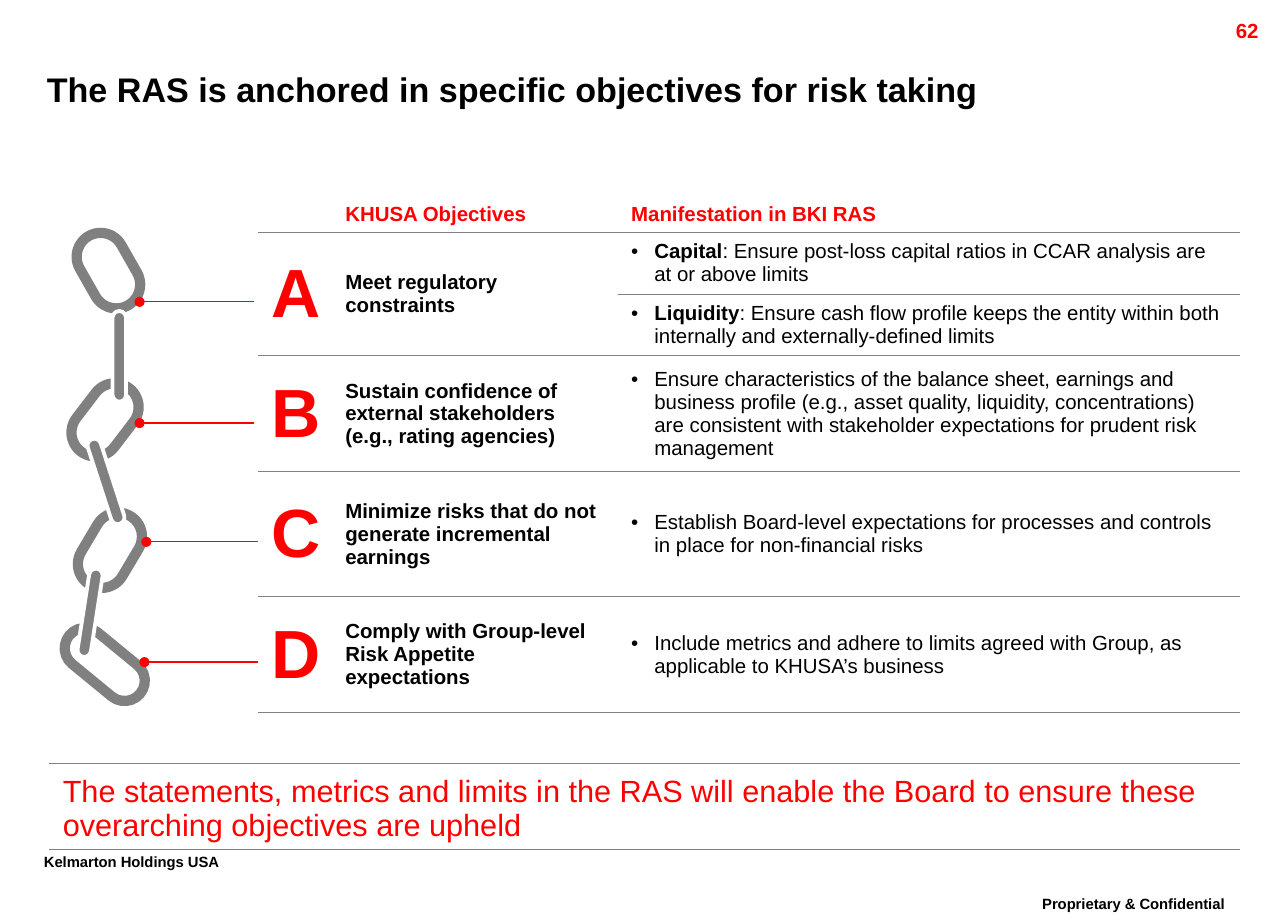
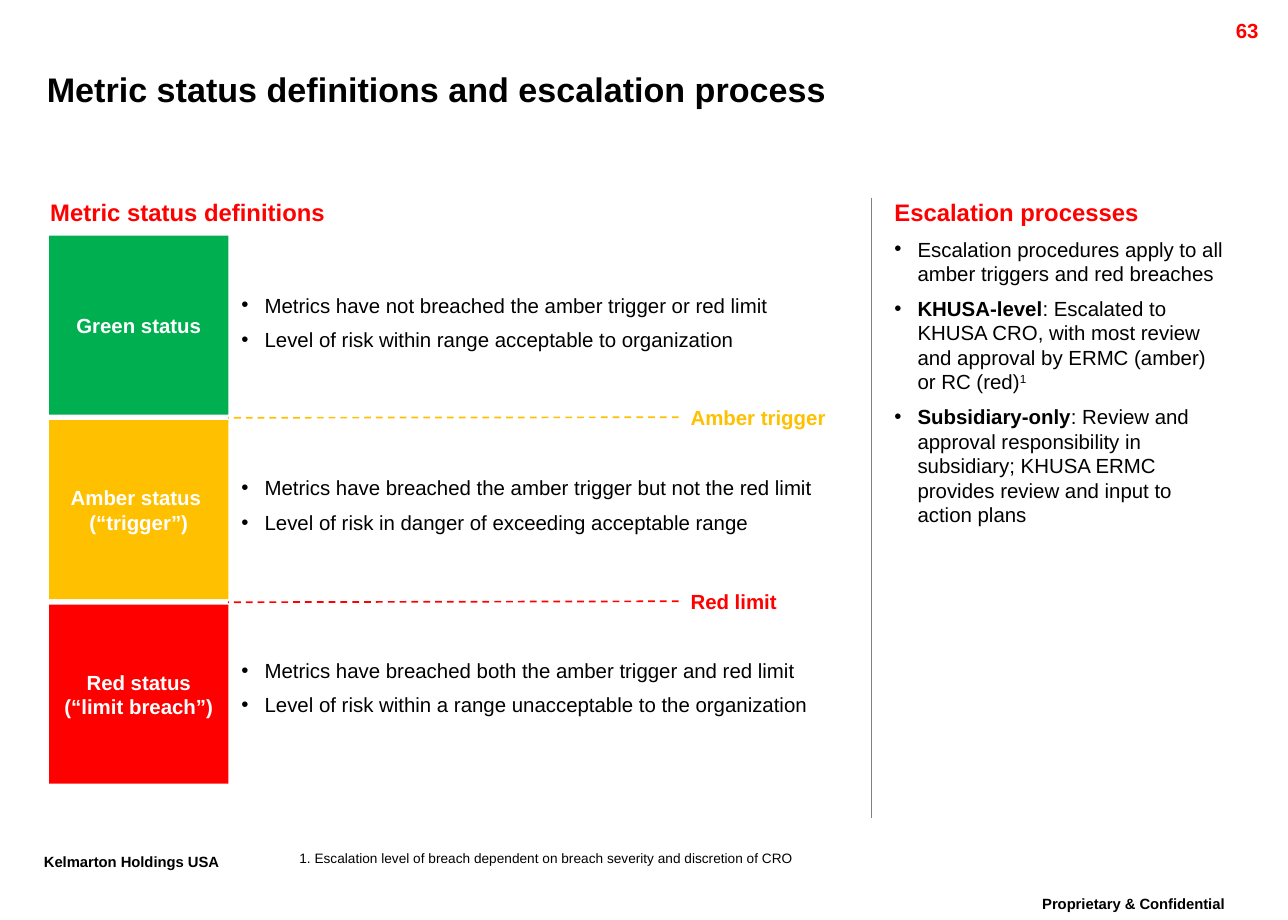
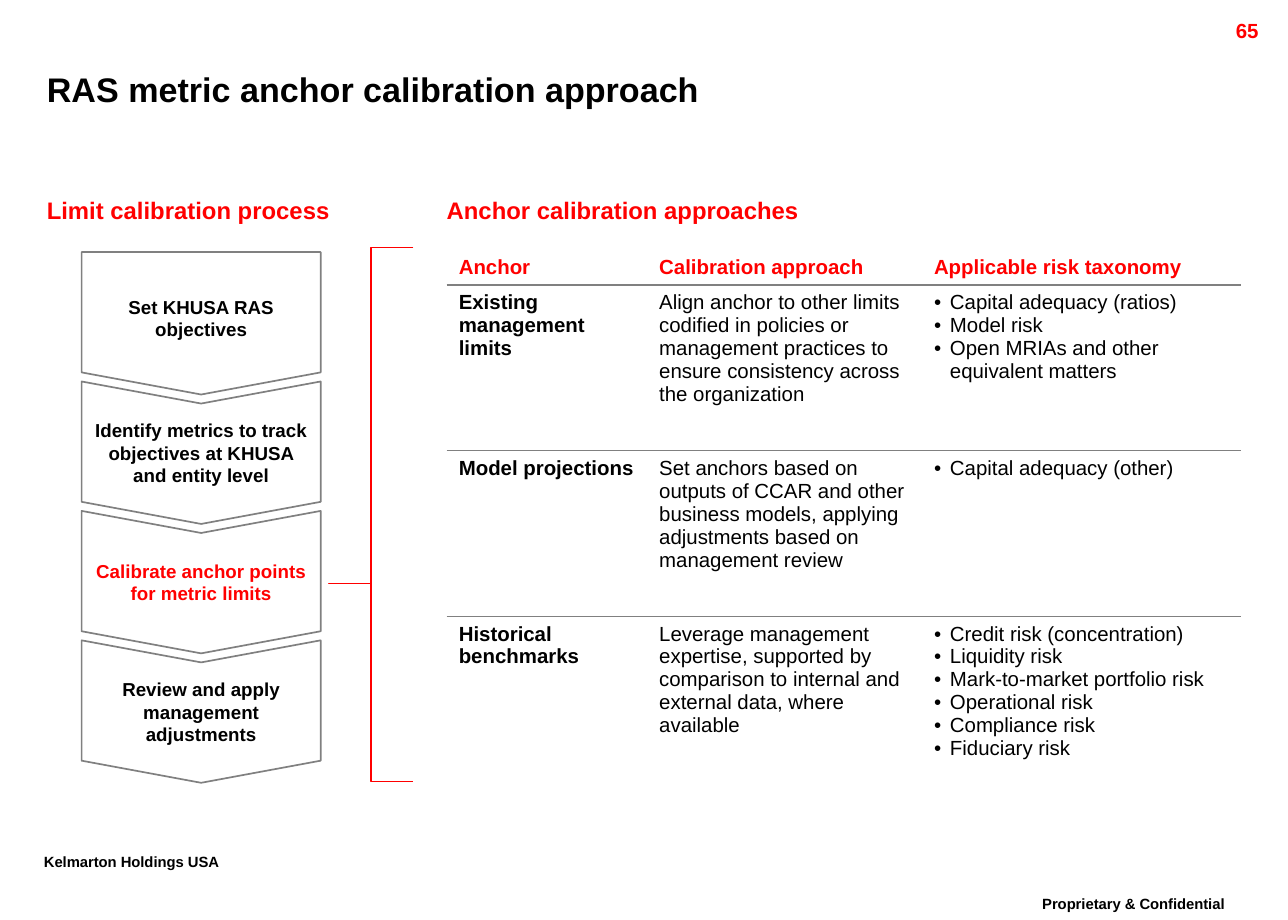
from lxml import etree
from pptx import Presentation
from pptx.dml.color import RGBColor
from pptx.enum.dml import MSO_LINE
from pptx.enum.shapes import MSO_CONNECTOR, MSO_SHAPE
from pptx.enum.text import MSO_ANCHOR, MSO_AUTO_SIZE, PP_ALIGN
from pptx.oxml.ns import qn
from pptx.util import Cm, Pt

RED = RGBColor(0xFF, 0x00, 0x00)
GREEN = RGBColor(0x00, 0xB0, 0x50)
AMBER = RGBColor(0xFF, 0xC0, 0x00)
GREY = RGBColor(0x80, 0x80, 0x80)
BLACK = RGBColor(0x00, 0x00, 0x00)
WHITE = RGBColor(0xFF, 0xFF, 0xFF)
FONT = "Arial"
LEFT, CENTER, RIGHT = PP_ALIGN.LEFT, PP_ALIGN.CENTER, PP_ALIGN.RIGHT
MIDDLE, BOTTOM = MSO_ANCHOR.MIDDLE, MSO_ANCHOR.BOTTOM
NO_GRID_STYLE = "{2D5ABB26-0587-4C30-8999-92F81FD0307C}"
SUPERSCRIPT = "30000"


def write(tf, paras, size=12, color=BLACK, bold=False, bullet=0, gap=0,
          spacing=1.0, align=LEFT):
    """Fill a text frame; *stars* mark bold words, \\v a line break."""
    tf.word_wrap = True
    for n, para in enumerate(paras):
        p = tf.add_paragraph() if n else tf.paragraphs[0]
        if bullet:
            pPr = p._p.get_or_add_pPr()
            pPr.set("marL", str(int(Cm(bullet))))
            pPr.set("indent", str(-int(Cm(bullet))))
            etree.SubElement(pPr, qn("a:buFont")).set("typeface", FONT)
            etree.SubElement(pPr, qn("a:buChar")).set("char", "•")
        p.alignment = align
        p.line_spacing = spacing
        p.space_before = Pt(gap if n else 0)
        for i, part in enumerate(para.split("*")):
            for j, piece in enumerate(part.split("\v")):
                if j:
                    p.add_line_break()
                if piece:
                    r = p.add_run()
                    r.text = piece
                    r.font.name = FONT
                    r.font.size = Pt(size)
                    r.font.bold = bold or i % 2 == 1
                    r.font.color.rgb = color
        if not para:
            etree.SubElement(p._p, qn("a:endParaRPr")).set("sz", str(size * 100))


def ruled_table(s, x, y, cols, rows, ruled, width=0.75, top_rule=False, margin=0.28):
    """Add a plain table with a grey rule under each of the ruled rows."""
    table = s.shapes.add_table(len(rows), len(cols), Cm(x), Cm(y),
                               Cm(sum(cols)), Cm(sum(rows))).table
    table.first_row = table.horz_banding = False
    table._tbl.tblPr.find(qn("a:tableStyleId")).text = NO_GRID_STYLE
    for i, w in enumerate(cols):
        table.columns[i].width = Cm(w)
    for i, h in enumerate(rows):
        table.rows[i].height = Cm(h)
        for j in range(len(cols)):
            cell = table.cell(i, j)
            cell.fill.background()
            cell.margin_left = cell.margin_right = Cm(margin)
            cell.margin_top = cell.margin_bottom = Cm(0.13)
            sides = ["a:lnB"] if i in ruled else []
            if top_rule and i == 0:
                sides.append("a:lnT")
            for side in sides:
                ln = etree.Element(qn(side), w=str(int(Pt(width))))
                fill = etree.SubElement(ln, qn("a:solidFill"))
                etree.SubElement(fill, qn("a:srgbClr")).set("val", str(GREY))
                cell._tc.get_or_add_tcPr().insert(0, ln)
    return table


prs = Presentation()
prs.slide_width, prs.slide_height = Cm(26.67), Cm(19.05)

# Shared frame: title, page number, footers
slides = []
for number, title in [
        ("62", "The RAS is anchored in specific objectives for risk taking"),
        ("63", "Metric status definitions and escalation process"),
        ("65", "RAS metric anchor calibration approach")]:
    s = prs.slides.add_slide(prs.slide_layouts[5])
    slides.append(s)
    sp = s.shapes.title
    sp.left, sp.top, sp.width, sp.height = Cm(0.97), Cm(1.24), Cm(24.08), Cm(1.22)
    tf = sp.text_frame
    tf.auto_size = MSO_AUTO_SIZE.NONE
    tf.vertical_anchor = MIDDLE
    tf.margin_left = tf.margin_right = tf.margin_top = tf.margin_bottom = 0
    write(tf, [title], size=20, bold=True)

    sp = s.shapes.add_textbox(Cm(23.77), Cm(0.26), Cm(2.54), Cm(0.61))
    write(sp.text_frame, [number], color=RED, bold=True, align=RIGHT)
    for x, y, w, text, align in [
            (20.7, 18.44, 5.54, "Proprietary & Confidential", CENTER),
            (0.66, 17.57, 4.85, "Kelmarton Holdings USA", LEFT)]:
        sp = s.shapes.add_textbox(Cm(x), Cm(y), Cm(w), Cm(0.81))
        write(sp.text_frame, [text], size=15, bold=True, spacing=0.86, align=align)
        r = sp.text_frame.paragraphs[0].runs[0]
        r._r.get_or_add_rPr().set("baseline", SUPERSCRIPT)
objectives, status, calibration = slides

# Objectives: chain of open links joined by solid bars
s = objectives
for x, y, w, h, angle, solid in [
        (1.42, 5.11, 1.65, 0.99, 60.4, False),
        (1.35, 8.2, 1.65, 0.99, 127.4, False),
        (1.45, 10.9, 1.65, 0.99, 120.7, False),
        (1.22, 13.34, 1.9, 0.84, 39.4, False),
        (0.94, 12.55, 1.85, 0.28, 98.8, True),
        (1.27, 9.83, 1.85, 0.28, 72, True),
        (1.53, 7.24, 1.88, 0.28, 90, True)]:
    sp = s.shapes.add_shape(MSO_SHAPE.ROUNDED_RECTANGLE, Cm(x), Cm(y), Cm(w), Cm(h))
    sp.shadow.inherit = False
    sp.adjustments[0] = 0.5
    sp.rotation = angle
    if solid:
        sp.fill.solid()
        sp.fill.fore_color.rgb = GREY
    else:
        sp.fill.background()
    sp.line.color.rgb = WHITE if solid else GREY
    sp.line.width = Pt(2.25 if solid else 6)

# Objectives table
table = ruled_table(s, 5.35, 4.04, [1.52, 5.92, 12.88],
                    [0.76, 1.28, 1.28, 2.4, 2.58, 2.41], range(6))
for j, head in enumerate(["", "KHUSA Objectives", "Manifestation in BKI RAS"]):
    table.cell(0, j).vertical_anchor = BOTTOM
    write(table.cell(0, j).text_frame, [head], color=RED, bold=True)
for j in range(2):
    table.cell(1, j).merge(table.cell(2, j))
for i, letter, objective, manifestation in [
        (1, "A", "Meet regulatory constraints",
         "*Capital*: Ensure post-loss capital ratios in CCAR analysis are at or above limits"),
        (2, "", "",
         "*Liquidity*: Ensure cash flow profile keeps the entity within both internally "
         "and externally-defined limits"),
        (3, "B", "Sustain confidence of external stakeholders (e.g., rating agencies)",
         "Ensure characteristics of the balance sheet, earnings and business profile "
         "(e.g., asset quality, liquidity, concentrations) are consistent with "
         "stakeholder expectations for prudent risk management"),
        (4, "C", "Minimize risks that do not generate incremental earnings",
         "Establish Board-level expectations for processes and controls in place for "
         "non-financial risks"),
        (5, "D", "Comply with Group-level Risk Appetite expectations",
         "Include metrics and adhere to limits agreed with Group, as applicable to "
         "KHUSA’s business")]:
    for j in range(3):
        table.cell(i, j).vertical_anchor = MIDDLE
    if letter:
        write(table.cell(i, 0).text_frame, [letter], size=40, color=RED, bold=True)
        write(table.cell(i, 1).text_frame, [objective], bold=True)
    write(table.cell(i, 2).text_frame, [manifestation], bullet=0.48)

# Objectives: closing statement
table = ruled_table(s, 1.02, 15.81, [24.66], [1.78], [0], top_rule=True)
table.cell(0, 0).vertical_anchor = BOTTOM
write(table.cell(0, 0).text_frame,
      ["The statements, metrics and limits in the RAS will enable the Board to ensure "
       "these overarching objectives are upheld"], size=18, color=RED)

# Status: coloured blocks with their definitions
s = status
for i, (color, label, definition) in enumerate([
        (GREEN, ["Green status"],
         ["Metrics have not breached the amber trigger or red limit",
          "Level of risk within range acceptable to organization"]),
        (AMBER, ["Amber status ", "(“trigger”)"],
         ["Metrics have breached the amber trigger but not the red limit",
          "Level of risk in danger of exceeding acceptable range"]),
        (RED, ["Red status", "(“limit breach”)"],
         ["Metrics have breached both the amber trigger and red limit",
          "Level of risk within a range unacceptable to the organization"])]):
    y = 4.88 + 3.82 * i
    sp = s.shapes.add_shape(MSO_SHAPE.RECTANGLE, Cm(1.02), Cm(y), Cm(3.71), Cm(3.71))
    sp.shadow.inherit = False
    sp.fill.solid()
    sp.fill.fore_color.rgb = color
    sp.line.fill.background()
    tf = sp.text_frame
    tf.vertical_anchor = MIDDLE
    tf.margin_left = tf.margin_right = Cm(0.2)
    write(tf, label, color=WHITE, bold=True, align=CENTER)
    sp = s.shapes.add_textbox(Cm(5), Cm(6.06 + 3.78 * i), Cm(13.03), Cm(1.24))
    tf = sp.text_frame
    tf.margin_left = tf.margin_right = tf.margin_top = tf.margin_bottom = 0
    write(tf, definition, bullet=0.48, gap=6)

# Status: escalation list with a footnote mark
sp = s.shapes.add_textbox(Cm(18.52), Cm(4.9), Cm(7.05), Cm(6.07))
tf = sp.text_frame
tf.margin_left = tf.margin_right = tf.margin_top = tf.margin_bottom = 0
write(tf, ["Escalation procedures apply to all amber triggers and red breaches",
           "*KHUSA-level*: Escalated to KHUSA CRO, with most review and approval by "
           "ERMC (amber) \vor RC (red)",
           "*Subsidiary-only*: Review and approval responsibility in subsidiary; KHUSA "
           "ERMC provides review and input to \vaction plans"], bullet=0.48, gap=6)
r = tf.paragraphs[1].add_run()
r.text = "1"
r.font.name, r.font.size, r.font.color.rgb = FONT, Pt(12), BLACK
r._r.get_or_add_rPr().set("baseline", SUPERSCRIPT)

# Calibration: process steps pointing down
s = calibration
for i, (step, color) in enumerate([
        ("Set KHUSA RAS objectives", BLACK),
        ("Identify metrics to track objectives at KHUSA and entity level", BLACK),
        ("Calibrate anchor points for metric limits", RED),
        ("Review and apply management adjustments", BLACK)]):
    kind = MSO_SHAPE.CHEVRON if i else MSO_SHAPE.PENTAGON
    sp = s.shapes.add_shape(kind, Cm(2.69), Cm(4.22 + 2.68 * i), Cm(2.95), Cm(4.95))
    sp.shadow.inherit = False
    sp.adjustments[0] = 0.155
    sp.rotation = 90
    sp.fill.solid()
    sp.fill.fore_color.rgb = WHITE
    sp.line.color.rgb = GREY
    sp.line.width = Pt(1)
    tf = sp.text_frame
    tf.vertical_anchor = MIDDLE
    tf.margin_left = tf.margin_right = tf.margin_top = tf.margin_bottom = Cm(0.2)
    # Keep the text upright in the turned shape
    bodyPr = tf._txBody.find(qn("a:bodyPr"))
    bodyPr.set("vert", "vert")
    bodyPr.set("rot", "10800000")
    write(tf, [step], size=11, color=color, bold=True, align=CENTER)

# Calibration: bracket from the step to the table
sp = s.shapes.add_shape(MSO_SHAPE.RIGHT_BRACE, Cm(6.81), Cm(5.12), Cm(1.75), Cm(11.07))
sp.shadow.inherit = False
sp.adjustments[0], sp.adjustments[1] = 0, 0.629
sp._element.spPr.find(qn("a:xfrm")).set("flipH", "1")
sp.fill.background()
sp.line.color.rgb = RED
sp.line.width = Pt(0.75)

# Calibration table
table = ruled_table(s, 9.25, 5.11, [4.15, 5.69, 6.6], [0.79, 3.43, 3.43, 3.43],
                    range(3), width=1, margin=0.25)
for j, head in enumerate(["Anchor", "Calibration approach", "Applicable risk taxonomy"]):
    table.cell(0, j).vertical_anchor = BOTTOM
    write(table.cell(0, j).text_frame, [head], color=RED, bold=True)
for i, (anchor, approach, risks) in enumerate([
        ("Existing management limits",
         "Align anchor to other limits codified in policies or management practices to "
         "ensure consistency across the organization",
         ["Capital adequacy (ratios)", "Model risk",
          "Open MRIAs and other equivalent matters"]),
        ("Model projections",
         "Set anchors based on outputs of CCAR and other business models, applying "
         "adjustments based on management review",
         ["Capital adequacy (other)"]),
        ("Historical benchmarks",
         "Leverage management expertise, supported by comparison to internal and "
         "external data, where available",
         ["Credit risk (concentration)", "Liquidity risk",
          "Mark-to-market portfolio risk", "Operational risk", "Compliance risk",
          "Fiduciary risk"])], start=1):
    write(table.cell(i, 0).text_frame, [anchor], bold=True)
    write(table.cell(i, 1).text_frame, [approach])
    write(table.cell(i, 2).text_frame, risks, bullet=0.33)

# Section headings, threshold labels and footnote
for s, x, y, w, text, size, color, bold in [
        (status, 18.52, 4.09, 7.14, "Escalation processes", 14, RED, True),
        (status, 1.04, 4.09, 12.01, "Metric status definitions", 14, RED, True),
        (status, 14.3, 8.38, 3.45, "Amber trigger", 12, AMBER, True),
        (status, 14.3, 12.19, 2.77, "Red limit", 12, RED, True),
        (status, 6.2, 17.6, 13.89,
         "1. Escalation level of breach dependent on breach severity and discretion of CRO",
         8, BLACK, False),
        (calibration, 0.97, 4.06, 7.57, "Limit calibration process", 14, RED, True),
        (calibration, 9.25, 4.06, 15.24, "Anchor calibration approaches", 14, RED, True)]:
    sp = s.shapes.add_textbox(Cm(x), Cm(y), Cm(w), Cm(0.61))
    tf = sp.text_frame
    tf.margin_left = tf.margin_right = tf.margin_top = tf.margin_bottom = 0
    write(tf, [text], size=size, color=color, bold=bold)

# Lines: chain pointers, thresholds and column divider
for s, x1, y1, x2, y2, color, width, dashed, dot in [
        (objectives, 5.25, 6.25, 2.89, 6.25, RED, 0.75, False, True),
        (objectives, 5.25, 8.76, 2.89, 8.76, RED, 0.75, False, True),
        (objectives, 5.35, 11.22, 3.03, 11.22, RED, 0.75, False, True),
        (objectives, 5.35, 13.71, 2.99, 13.71, RED, 0.75, False, True),
        (status, 14.05, 8.64, 4.72, 8.65, AMBER, 1, True, False),
        (status, 14.05, 12.45, 4.72, 12.47, RED, 1, True, False),
        (status, 18.04, 4.09, 18.04, 16.94, GREY, 0.75, False, False)]:
    line = s.shapes.add_connector(MSO_CONNECTOR.STRAIGHT, Cm(x1), Cm(y1), Cm(x2), Cm(y2))
    line.line.color.rgb = color
    line.line.width = Pt(width)
    if dashed:
        line.line.dash_style = MSO_LINE.DASH
    if dot:
        etree.SubElement(line.line._get_or_add_ln(), qn("a:tailEnd")).set("type", "oval")
    etree.SubElement(line._element.spPr, qn("a:effectLst"))

prs.save("out.pptx")
